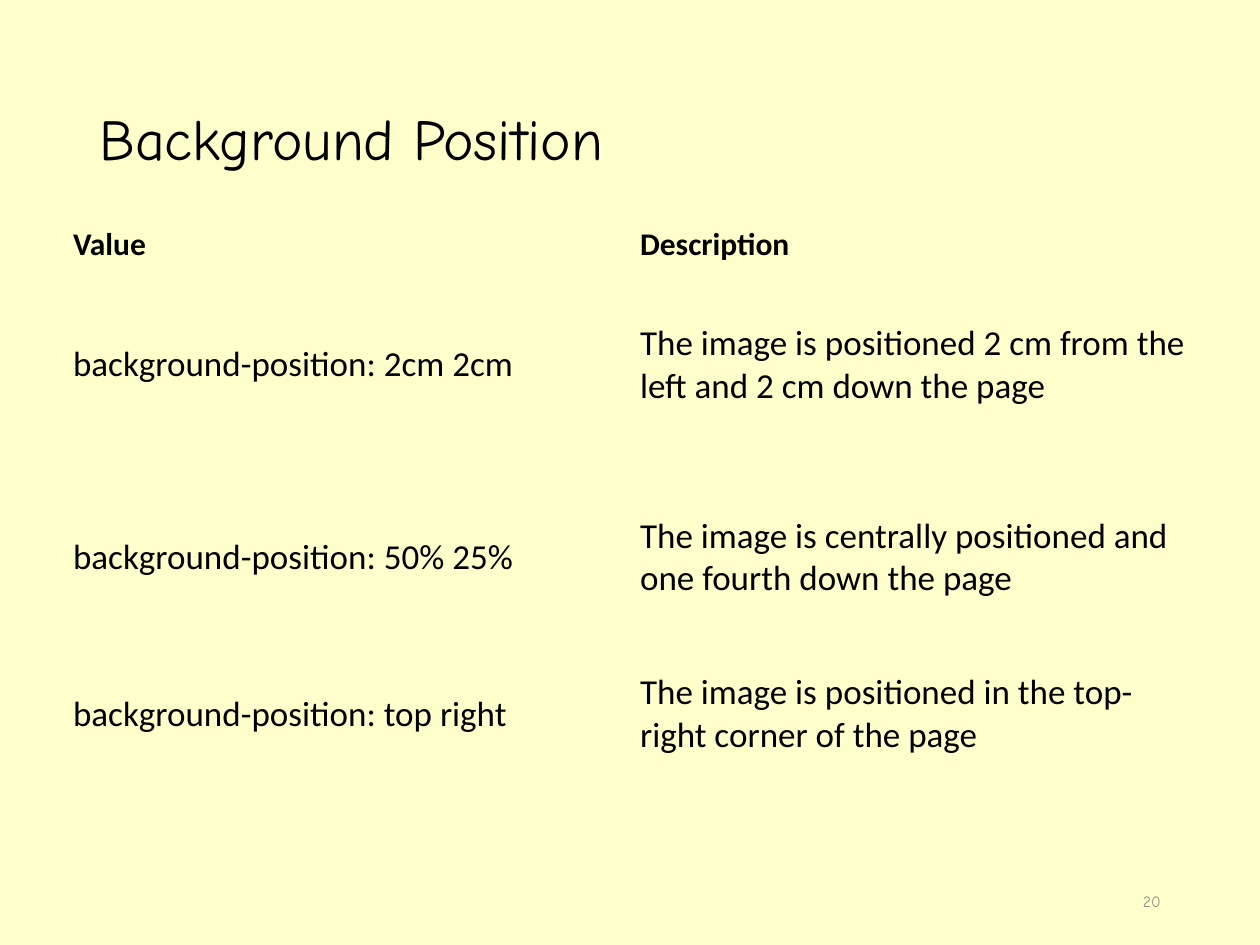
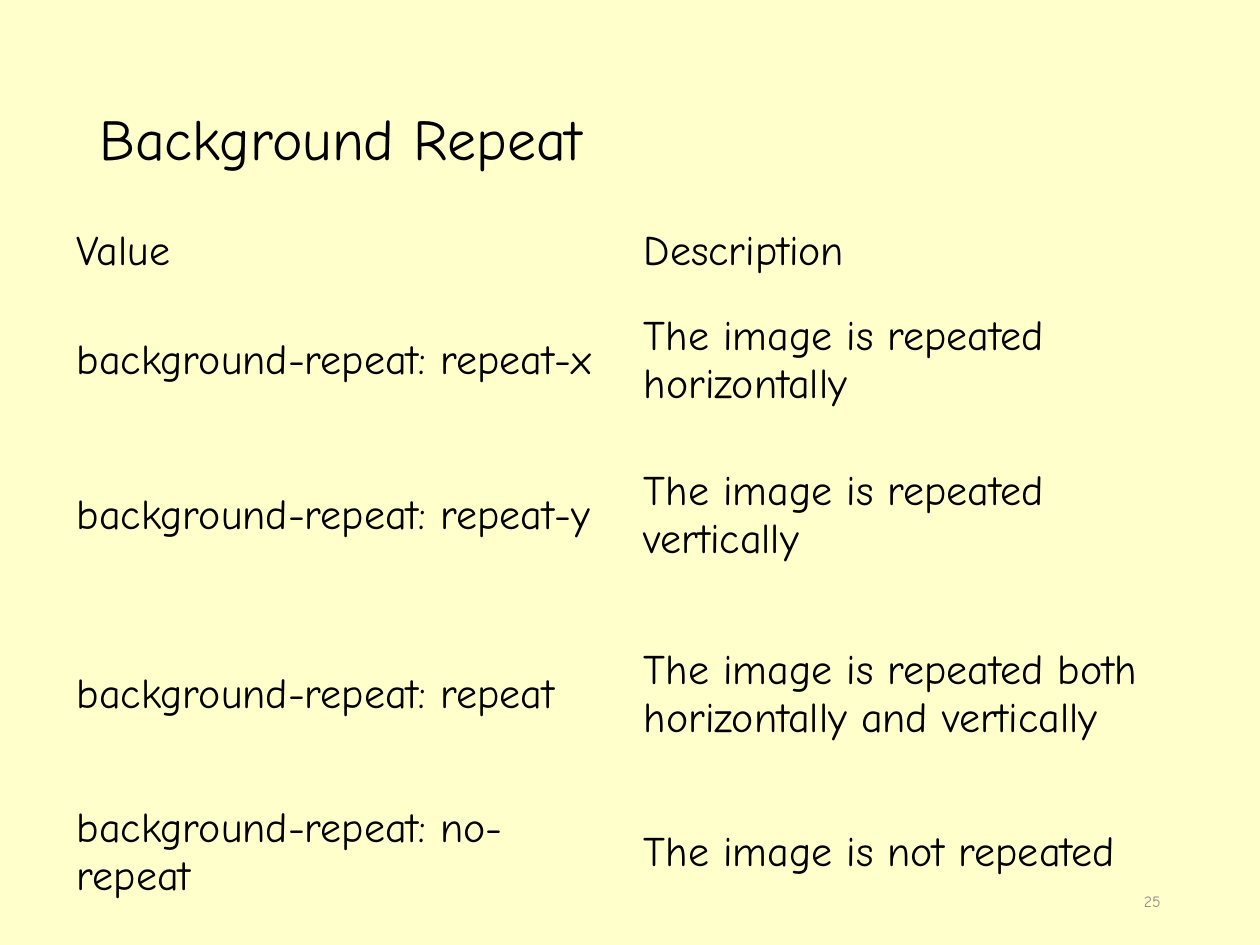
from dataclasses import dataclass

from pptx import Presentation
from pptx.dml.color import RGBColor
from pptx.enum.text import MSO_ANCHOR as Anchor, PP_ALIGN as Align
from pptx.oxml.ns import qn
from pptx.util import Inches, Pt


@dataclass(frozen=True)
class Theme:
    background: str = "FFFFCC"
    ink: str = "000000"
    muted: str = "8C8C8C"
    hand: str = "Comic Neue"
    plain: str = "Calibri"
    title_size: int = 33
    number_size: int = 9
    no_grid_style: str = "{2D5ABB26-0587-4C30-8999-92F81FD0307C}"


THEME = Theme()


@dataclass(frozen=True)
class TextStyle:
    font: str
    size: int
    color: str = THEME.ink
    bold: bool = False


@dataclass(frozen=True)
class ValueTable:
    rows: list[tuple[str, str]]
    heights: list[float]
    header: TextStyle
    body: TextStyle
    margin_x: float
    margin_y: float


@dataclass(frozen=True)
class PropertySlide:
    title: str
    number: int
    table: ValueTable


TITLE = TextStyle(THEME.hand, THEME.title_size)
NUMBER = TextStyle(THEME.hand, THEME.number_size, THEME.muted)
REPEAT = TextStyle(THEME.hand, 24)
HEADINGS = ("Value", "Description")

SLIDES = [
    PropertySlide("Background Position", 20, ValueTable(
        rows=[
            HEADINGS,
            ("background-position: 2cm 2cm",
             "The image is positioned 2 cm from the left and 2 cm down the page"),
            ("background-position: 50% 25%",
             "The image is centrally positioned and one fourth down the page"),
            ("background-position: top right",
             "The image is positioned in the top-right corner of the page"),
        ],
        heights=[0.38, 1.53, 1.53, 0.96],
        header=TextStyle(THEME.plain, 18, bold=True),
        body=TextStyle(THEME.plain, 20),
        margin_x=0.08, margin_y=0.04)),
    PropertySlide("Background Repeat", 25, ValueTable(
        rows=[
            HEADINGS,
            ("background-repeat: repeat-x", "The image is repeated horizontally"),
            ("background-repeat: repeat-y", "The image is repeated vertically"),
            ("background-repeat: repeat",
             "The image is repeated both horizontally and vertically"),
            ("background-repeat: no-repeat", "The image is not repeated"),
        ],
        heights=[0.49, 1.23, 1.23, 1.61, 0.86],
        header=REPEAT, body=REPEAT,
        margin_x=0.11, margin_y=0.05)),
]


def set_all(target, values: dict) -> None:
    for name, value in values.items():
        setattr(target, name, value)


def write(tf, text: str, style: TextStyle, **paragraph_format) -> None:
    p = tf.paragraphs[0]
    set_all(p, paragraph_format)
    r = p.add_run()
    r.text = text
    set_all(r.font, {"name": style.font, "size": Pt(style.size), "bold": style.bold})
    r.font.color.rgb = RGBColor.from_string(style.color)


def add_text(s, box: tuple[float, ...], text: str, style: TextStyle,
             **paragraph_format) -> None:
    tf = s.shapes.add_textbox(*map(Inches, box)).text_frame
    set_all(tf, {"word_wrap": True, "vertical_anchor": Anchor.MIDDLE})
    write(tf, text, style, **paragraph_format)


def add_value_table(s, spec_table: ValueTable) -> None:
    """Two equal columns without fills or grid lines."""
    frame = s.shapes.add_table(len(spec_table.rows), len(HEADINGS), Inches(0.5),
                               Inches(1.75), Inches(9), Inches(sum(spec_table.heights)))
    table = frame.table
    set_all(table, {"first_row": False, "horz_banding": False})
    table._tbl.tblPr.find(qn("a:tableStyleId")).text = THEME.no_grid_style
    x, y = Inches(spec_table.margin_x), Inches(spec_table.margin_y)
    cell_format = {"margin_left": x, "margin_right": x, "margin_top": y,
                   "margin_bottom": y, "vertical_anchor": Anchor.MIDDLE}
    for i, (texts, height) in enumerate(zip(spec_table.rows, spec_table.heights)):
        table.rows[i].height = Inches(height)
        style = spec_table.body if i else spec_table.header
        for cell, text in zip(table.rows[i].cells, texts):
            set_all(cell, cell_format)
            cell.fill.background()
            write(cell.text_frame, text, style)


def add_property_slide(prs, content: PropertySlide) -> None:
    s = prs.slides.add_slide(prs.slide_layouts[6])
    s.background.fill.solid()
    s.background.fill.fore_color.rgb = RGBColor.from_string(THEME.background)
    add_text(s, (0.69, 0.4, 8.62, 1.45), content.title, TITLE, line_spacing=0.9)
    add_value_table(s, content.table)
    add_text(s, (7.06, 6.95, 2.25, 0.4), str(content.number), NUMBER,
             alignment=Align.RIGHT)


def main() -> None:
    prs = Presentation()
    set_all(prs, {"slide_width": Inches(10), "slide_height": Inches(7.5)})
    for content in SLIDES:
        add_property_slide(prs, content)
    prs.save("out.pptx")


if __name__ == "__main__":
    main()
